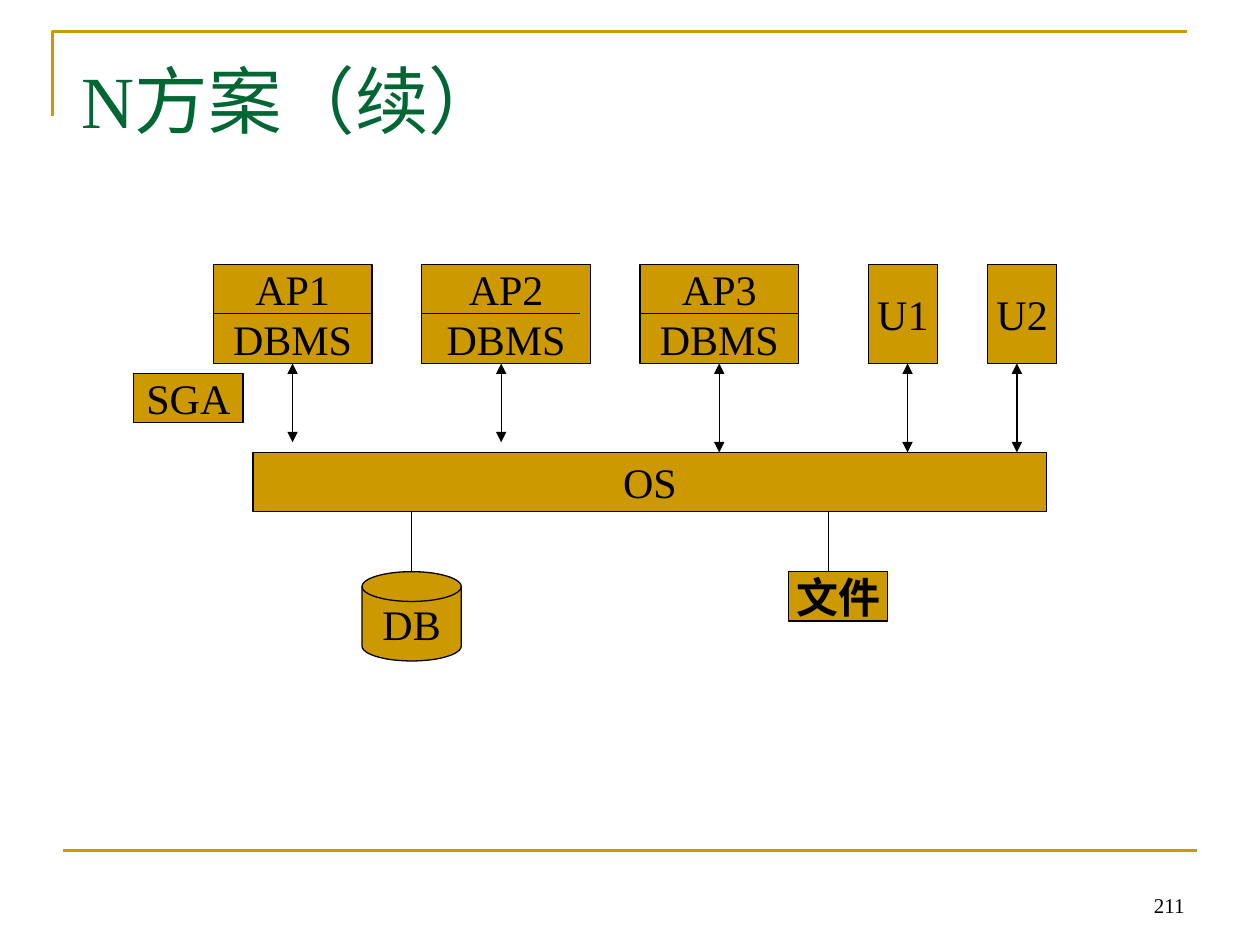
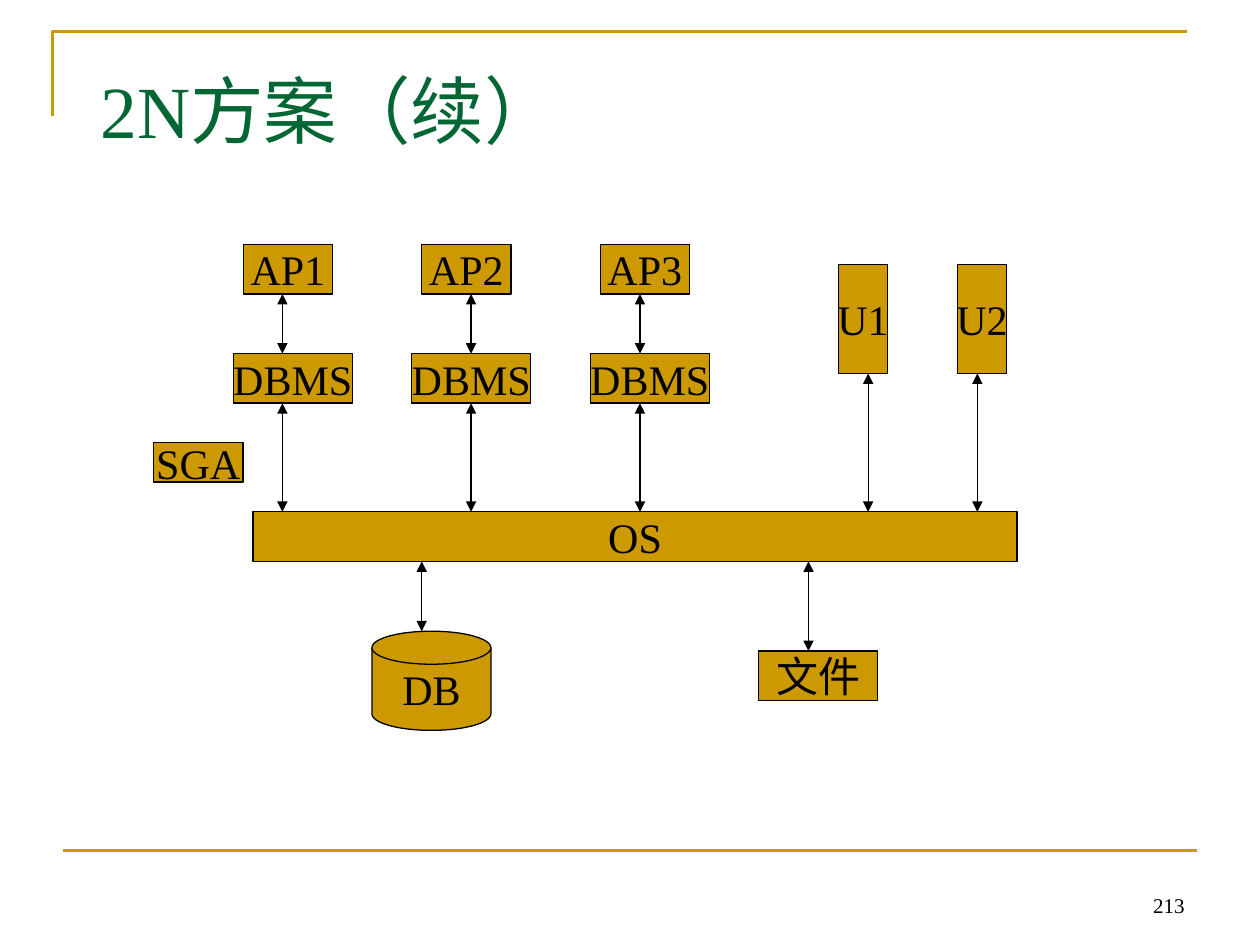
from dataclasses import dataclass

from lxml import etree
from pptx import Presentation
from pptx.dml.color import RGBColor
from pptx.enum import shapes, text
from pptx.oxml.ns import qn
from pptx.util import Pt


@dataclass(frozen=True)
class Theme:
    gold: RGBColor = RGBColor(0xCC, 0x99, 0x00)
    green: RGBColor = RGBColor(0x00, 0x66, 0x33)
    black: RGBColor = RGBColor(0, 0, 0)
    font: str = "Times New Roman"
    title_size: int = 42
    label_size: int = 24
    number_size: int = 12
    frame_width: float = 1.5
    line_width: float = 0.75


theme = Theme()
RECT = shapes.MSO_SHAPE.RECTANGLE
DISK = shapes.MSO_SHAPE.FLOWCHART_MAGNETIC_DISK


def add_node(slide, left, top, width, height, labels, kind=RECT, bold=False):
    node = slide.shapes.add_shape(kind, Pt(left), Pt(top), Pt(width), Pt(height))
    node.shadow.inherit = False
    node.fill.solid()
    node.fill.fore_color.rgb = theme.gold
    node.line.color.rgb = theme.black
    node.line.width = Pt(theme.line_width)
    frame = node.text_frame
    frame.word_wrap = False
    frame.vertical_anchor = text.MSO_ANCHOR.MIDDLE
    for index, label in enumerate(labels):
        paragraph = frame.add_paragraph() if index else frame.paragraphs[0]
        paragraph.alignment = text.PP_ALIGN.CENTER
        run = paragraph.add_run()
        run.text = label
        run.font.name = theme.font
        run.font.size = Pt(theme.label_size)
        run.font.bold = bold
        run.font.color.rgb = theme.black


def add_link(slide, x1, y1, x2, y2, arrows=True, color=theme.black, width=theme.line_width):
    link = slide.shapes.add_connector(
        shapes.MSO_CONNECTOR.STRAIGHT, Pt(x1), Pt(y1), Pt(x2), Pt(y2))
    link.line.color.rgb = color
    link.line.width = Pt(width)
    properties = link._element.spPr
    if arrows:
        for end in ("a:headEnd", "a:tailEnd"):
            etree.SubElement(properties.find(qn("a:ln")), qn(end), type="triangle")
    etree.SubElement(properties, qn("a:effectLst"))


deck = Presentation()
deck.slide_width, deck.slide_height = Pt(720), Pt(540)

scheme_slides = []
for title, title_left, title_top, number in (
    ("N方案（续）", 39.6, 28.1, "211"),
    ("2N方案（续）", 50.4, 33.8, "213"),
):
    slide = deck.slides.add_slide(deck.slide_layouts[6])
    scheme_slides.append(slide)

    outline = slide.shapes.build_freeform(Pt(30.2), Pt(66.2))
    outline.add_line_segments([(Pt(30.2), Pt(18)), (Pt(678.2), Pt(18))], close=False)
    corner = outline.convert_to_shape()
    corner.shadow.inherit = False
    corner.fill.background()
    corner.line.color.rgb = theme.gold
    corner.line.width = Pt(theme.frame_width)
    add_link(slide, 36, 486, 684, 486, False, theme.gold, theme.frame_width)

    for words, place, size, color, align, anchor in (
        (title, (title_left, title_top, 612, 90), theme.title_size, theme.green,
         text.PP_ALIGN.LEFT, text.MSO_ANCHOR.TOP),
        (number, (516, 492, 168, 36), theme.number_size, theme.black,
         text.PP_ALIGN.RIGHT, text.MSO_ANCHOR.BOTTOM),
    ):
        frame = slide.shapes.add_textbox(*map(Pt, place)).text_frame
        frame.word_wrap = True
        frame.vertical_anchor = anchor
        paragraph = frame.paragraphs[0]
        paragraph.alignment = align
        run = paragraph.add_run()
        run.text = words
        run.font.name = theme.font
        run.font.size = Pt(size)
        run.font.color.rgb = color

n_scheme, two_n_scheme = scheme_slides

for name, left, width, arrow_x, arrow_end in (
    ("AP1", 121.9, 90.7, 167.2, 252.7),
    ("AP2", 241, 96.4, 286.4, 252.7),
    ("AP3", 365.7, 90.7, 411, 258.5),
):
    add_node(n_scheme, left, 151, width, 56.7, [name, "DBMS"])
    add_link(n_scheme, left, 179.3, left + 90.7, 179.3, arrows=False)
    add_link(n_scheme, arrow_x, 207.7, arrow_x, arrow_end)
for name, left, arrow_x in (("U1", 496.1, 518.6), ("U2", 564.2, 581.1)):
    add_node(n_scheme, left, 151, 39.7, 56.7, [name])
    add_link(n_scheme, arrow_x, 207.7, arrow_x, 258.5)
add_node(n_scheme, 144.6, 258.5, 453.6, 34, ["OS"])
add_node(n_scheme, 76.4, 213.3, 62.6, 28.3, ["SGA"])
for storage_x in (235.3, 473.3):
    add_link(n_scheme, storage_x, 292.5, storage_x, 326.7, arrows=False)
add_node(n_scheme, 450.6, 326.7, 56.7, 28.3, ["文件"], bold=True)
add_node(n_scheme, 206.9, 326.7, 56.7, 51, ["DB"], DISK)

for index, arrow_x in enumerate((161.4, 269.2, 365.7)):
    left = 139 + 102 * index
    add_node(two_n_scheme, left, 139.7, 51, 28.3, [f"AP{index + 1}"])
    add_node(two_n_scheme, left - 5.7, 202.1, 68, 28.3, ["DBMS"])
    add_link(two_n_scheme, arrow_x, 168, arrow_x, 202.1)
    add_link(two_n_scheme, arrow_x, 230.4, arrow_x, 292.5)
for name, left, arrow_x in (("U1", 479, 496.1), ("U2", 547, 558.5)):
    add_node(two_n_scheme, left, 151, 28.3, 62.4, [name])
    add_link(two_n_scheme, arrow_x, 213.4, arrow_x, 292.5)
add_node(two_n_scheme, 144.6, 292.5, 436.6, 28.3, ["OS"])
add_node(two_n_scheme, 87.7, 252.8, 51.2, 22.7, ["SGA"])
for name, left, top, height, kind, arrow_x in (
    ("文件", 433.5, 372, 28.3, RECT, 462),
    ("DB", 212.5, 360.7, 56.7, DISK, 241),
):
    add_node(two_n_scheme, left, top, 68, height, [name], kind)
    add_link(two_n_scheme, arrow_x, 320.8, arrow_x, top)

deck.save("out.pptx")
